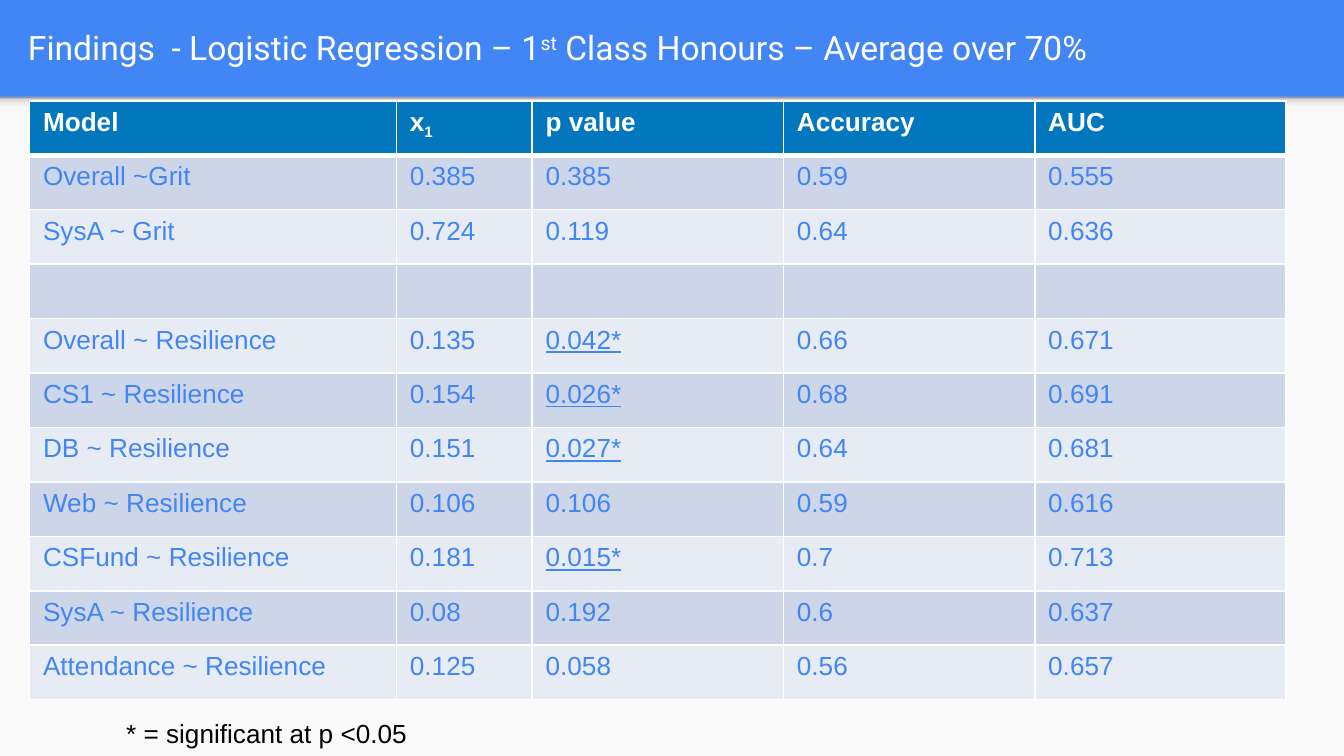
from lxml.etree import SubElement
from pptx import Presentation
from pptx.dml.color import RGBColor
from pptx.enum.shapes import MSO_SHAPE as SHAPE
from pptx.enum.text import MSO_ANCHOR as ANCHOR
from pptx.oxml.ns import qn
from pptx.util import Inches, Pt

BLUE = RGBColor(0x42, 0x85, 0xF4)
HEADER = RGBColor(0x02, 0x77, 0xBD)
BANDS = RGBColor(0xCC, 0xD6, 0xE8), RGBColor(0xE7, 0xEC, 0xF4)
PAPER = RGBColor(0xFA, 0xFA, 0xFA)
WHITE = RGBColor(0xFF, 0xFF, 0xFF)
BLACK = RGBColor(0, 0, 0)
SHADE = [(0, "F9F9F9"), (36, "F9F9F9"), (80, "DEDEDE"), (100, "999999")]

# Text is a list of (words, baseline shift in percent)
TITLE = [("Findings  - Logistic Regression – 1", 0), ("st", 30),
         (" Class Honours – Average over 70%", 0)]
NOTE = [("* = significant at p <0.05", 0)]
HEADINGS = [[("Model", 0)], [("x", 0), ("1", -25)], [("p value", 0)],
            [("Accuracy", 0)], [("AUC", 0)]]
RESULTS = [
    ("Overall ~Grit", "0.385", "0.385", "0.59", "0.555"),
    ("SysA ~ Grit", "0.724", "0.119", "0.64", "0.636"),
    ("", "", "", "", ""),
    ("Overall ~ Resilience", "0.135", "0.042*", "0.66", "0.671"),
    ("CS1 ~ Resilience", "0.154", "0.026*", "0.68", "0.691"),
    ("DB ~ Resilience", "0.151", "0.027*", "0.64", "0.681"),
    ("Web ~ Resilience", "0.106", "0.106", "0.59", "0.616"),
    ("CSFund ~ Resilience", "0.181", "0.015*", "0.7", "0.713"),
    ("SysA ~ Resilience", "0.08", "0.192", "0.6", "0.637"),
    ("Attendance ~ Resilience", "0.125", "0.058", "0.56", "0.657"),
]
WIDTH = 10
HEIGHT = WIDTH * 9 / 16
BODY_TOP = 0.72
COL_WIDTHS = [2.73, 1.01, 1.87, 1.87, 1.87]
TABLE_HEIGHT = 4.46


def write(tf, parts, color, name="Arial", size=14, **font):
    formats = dict(name=name, size=Pt(size), **font)
    for words, shift in parts:
        r = tf.paragraphs[0].add_run()
        r.text = words
        for key, value in formats.items():
            setattr(r.font, key, value)
        r.font.color.rgb = color
        if shift:
            r.font._element.set("baseline", str(shift * 1000))


def add_rect(slide, top, height):
    sp = slide.shapes.add_shape(SHAPE.RECTANGLE, 0, Inches(top), Inches(WIDTH), Inches(height))
    sp.shadow.inherit = False
    sp.line.fill.background()
    return sp


def add_text_box(slide, left, top, width, height, wrap):
    sp = slide.shapes.add_textbox(*map(Inches, (left, top, width, height)))
    sp.text_frame.word_wrap = wrap
    return sp.text_frame


def set_stops(sp, stops):
    gs_list = sp._element.spPr.find(qn("a:gradFill")).find(qn("a:gsLst"))
    for old in list(gs_list):
        gs_list.remove(old)
    for percent, color in stops:
        gs = SubElement(gs_list, qn("a:gs"), pos=str(percent * 1000))
        SubElement(gs, qn("a:srgbClr"), val=color)


def set_borders(cell, top=1, bottom=1):
    """Draw white borders; widths in points. Call before filling the cell."""
    tc_pr = cell._tc.get_or_add_tcPr()
    for side, width in zip("LRTB", (1, 1, top, bottom)):
        ln = SubElement(tc_pr, qn(f"a:ln{side}"), w=str(Pt(width)))
        SubElement(SubElement(ln, qn("a:solidFill")), qn("a:srgbClr"), val=str(WHITE))


def add_results(slide):
    rows = [HEADINGS] + [[[(t, 0)] if t else [] for t in row] for row in RESULTS]
    table = slide.shapes.add_table(
        len(rows), len(COL_WIDTHS), Inches(0.22), Inches(0.75),
        Inches(sum(COL_WIDTHS)), Inches(TABLE_HEIGHT)).table
    for col, width in zip(table.columns, COL_WIDTHS):
        col.width = Inches(width)
    for i, row in enumerate(rows):
        table.rows[i].height = Inches(TABLE_HEIGHT / len(rows))
        is_head = i == 0
        for j, parts in enumerate(row):
            cell = table.cell(i, j)
            set_borders(cell, top=3 if i == 1 else 1, bottom=3 if is_head else 1)
            cell.fill.solid()
            cell.fill.fore_color.rgb = HEADER if is_head else BANDS[(i - 1) % 2]
            significant = any("*" in words for words, _ in parts)
            write(cell.text_frame, parts, WHITE if is_head else BLUE,
                  bold=is_head, underline=significant)


prs = Presentation()
prs.slide_width, prs.slide_height = Inches(WIDTH), Inches(HEIGHT)
s = prs.slides.add_slide(prs.slide_layouts[6])
s.background.fill.solid()
s.background.fill.fore_color.rgb = BLUE

body = add_rect(s, BODY_TOP, HEIGHT - BODY_TOP)
body.fill.solid()
body.fill.fore_color.rgb = PAPER
shade = add_rect(s, BODY_TOP, 0.12)
shade.fill.gradient()
shade.fill.gradient_angle = 90
set_stops(shade, SHADE)

tf = add_text_box(s, 0.11, 0.02, 9.65, 0.66, True)
tf.vertical_anchor = ANCHOR.MIDDLE
tf.margin_top = tf.margin_bottom = Inches(0.1)
write(tf, TITLE, WHITE, "Roboto", 18)
add_results(s)
write(add_text_box(s, 0.84, 5.29, 2.3, 0.34, False), NOTE, BLACK)

prs.save("out.pptx")
